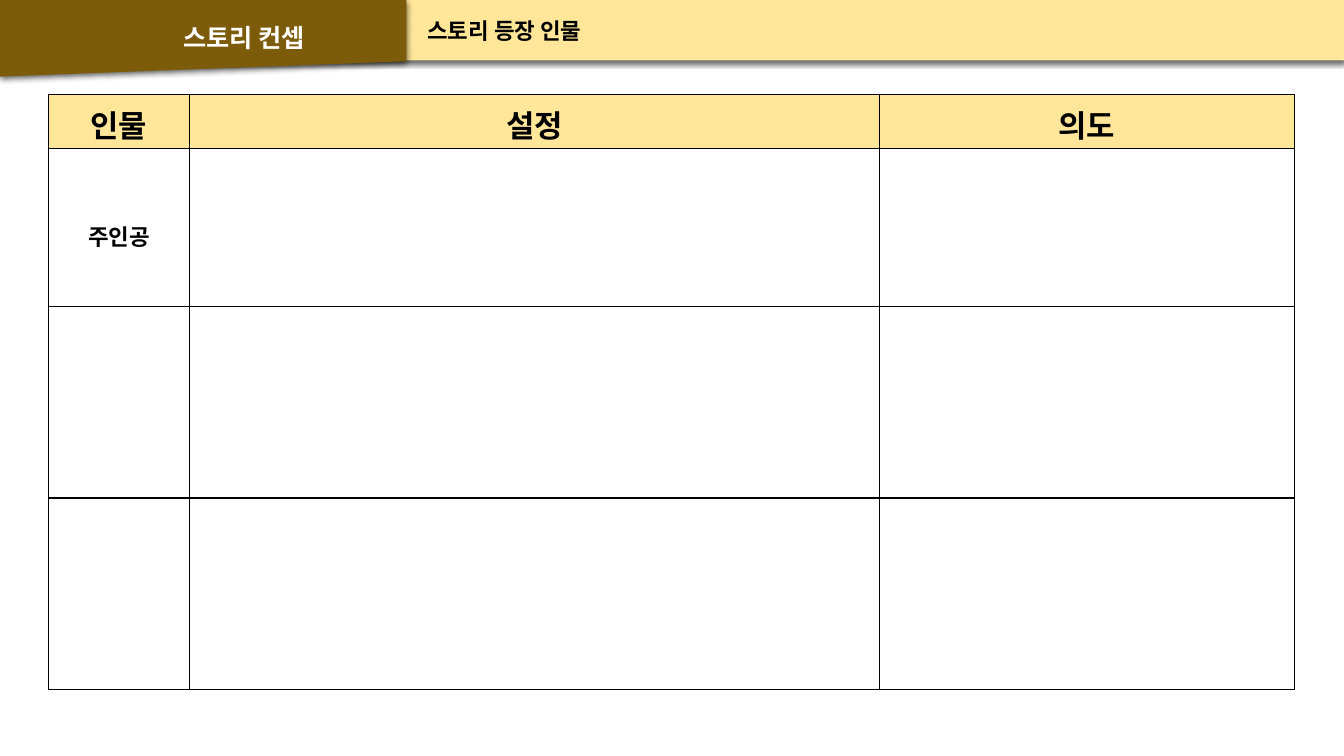
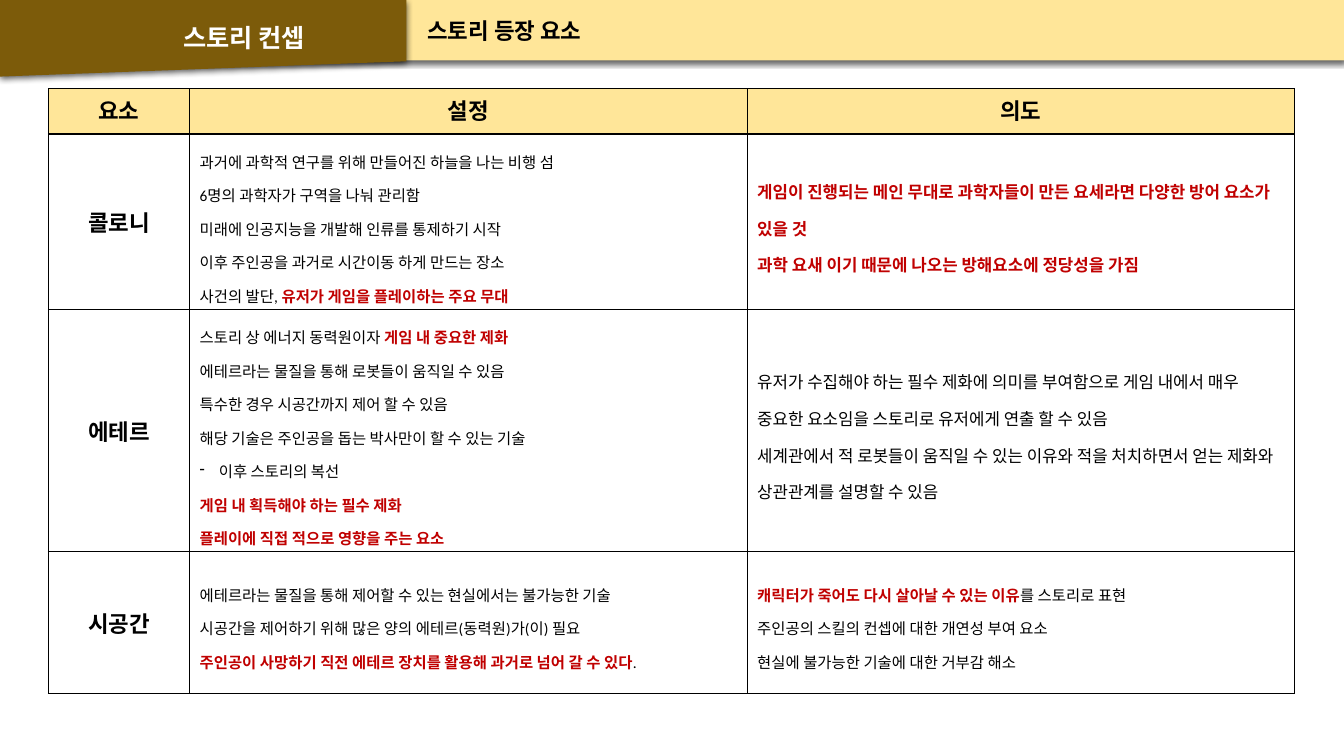
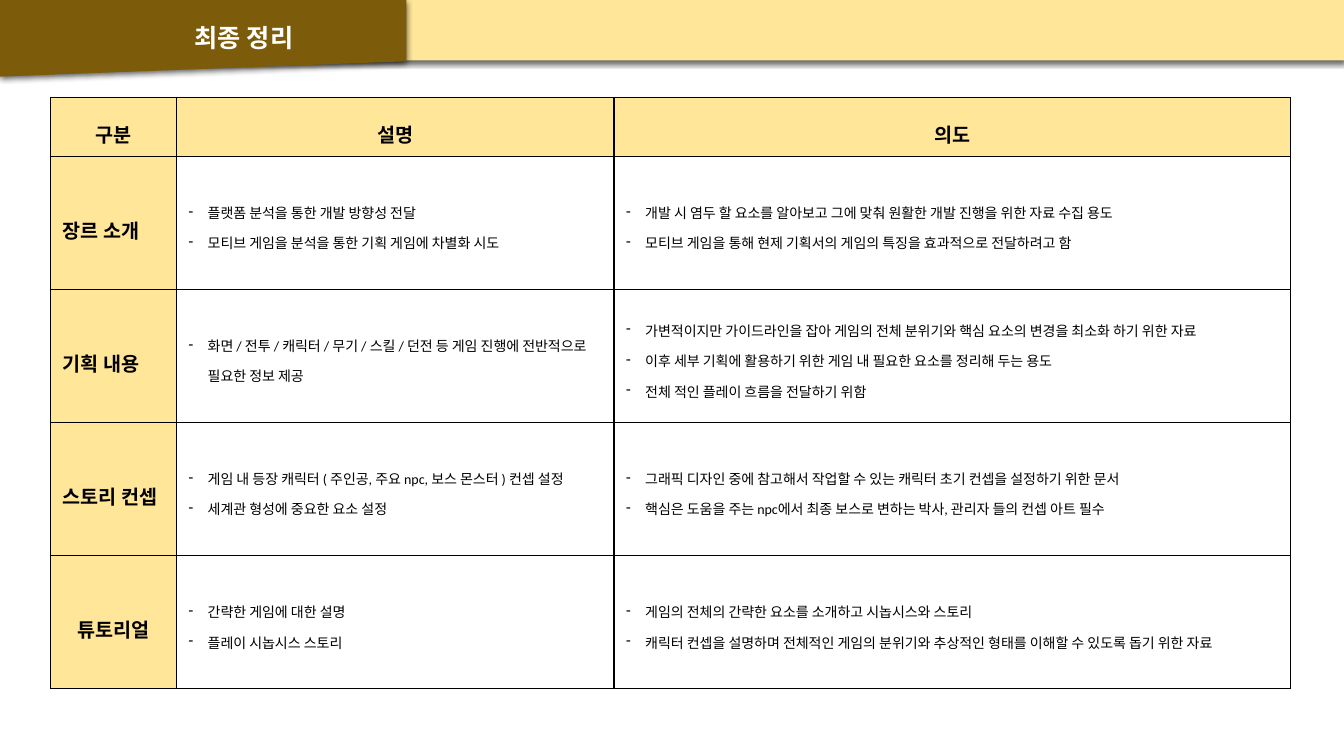
from dataclasses import dataclass
from functools import partial
from typing import Optional

from lxml import etree
from pptx import Presentation
from pptx.dml.color import RGBColor
from pptx.enum import shapes, text
from pptx.oxml import ns
from pptx.util import Inches, Pt

CREAM = RGBColor(0xFF, 0xE6, 0x99)
BROWN = RGBColor(0x7C, 0x5B, 0x0A)
RED = RGBColor(0xC0, 0x00, 0x00)
BLACK = RGBColor(0x00, 0x00, 0x00)
WHITE = RGBColor(0xFF, 0xFF, 0xFF)
FONT = "Calibri"
LEFT, CENTER = text.PP_ALIGN.LEFT, text.PP_ALIGN.CENTER
TOP, MIDDLE = text.MSO_ANCHOR.TOP, text.MSO_ANCHOR.MIDDLE
HANGING = Inches(0.19)
SLIDE_WIDTH, SLIDE_HEIGHT = 13.33, 7.5


@dataclass
class Cell:
    """Lines may start with "- " for a bullet and mark **key words**."""
    lines: tuple = ()
    size: float = 16
    bold: bool = False
    align: int = LEFT
    spacing: Optional[float] = None
    anchor: int = MIDDLE
    fill: Optional[RGBColor] = None


@dataclass
class Grid:
    left: float
    top: float
    columns: tuple
    rows: tuple
    inset: tuple
    cells: list


def sub(parent, tag: str, **attributes):
    return etree.SubElement(parent, ns.qn(tag), attributes)


def write(frame, *lines: str, size: float, bold: bool = False,
          color: RGBColor = BLACK, align: int = LEFT,
          spacing: Optional[float] = None) -> None:
    """Fill a text frame; **key words** come out red and bold."""
    for number, line in enumerate(lines):
        paragraph = frame.add_paragraph() if number else frame.paragraphs[0]
        if line.startswith("- "):
            line = line[2:]
            properties = paragraph._p.get_or_add_pPr()
            properties.set("marL", str(HANGING))
            properties.set("indent", str(-HANGING))
            sub(properties, "a:buChar", char="-")
        paragraph.alignment = align
        if spacing:
            paragraph.line_spacing = spacing
        for position, piece in enumerate(line.split("**")):
            if not piece:
                continue
            is_key = position % 2 == 1
            run = paragraph.add_run()
            run.text = piece
            run.font.name = FONT
            run.font.size = Pt(size)
            run.font.bold = bold or is_key
            run.font.color.rgb = RED if is_key else color


def add_band(slide, preset: int, width: float, height: float,
             color: RGBColor, rotation: float = 0):
    band = slide.shapes.add_shape(preset, 0, 0, Inches(width), Inches(height))
    band.rotation = rotation
    band.fill.solid()
    band.fill.fore_color.rgb = color
    band.line.fill.background()
    band.shadow.inherit = False
    effects = band.element.spPr.find(ns.qn("a:effectLst"))
    shadow = sub(effects, "a:outerShdw", blurRad=str(Pt(4.5)), dist=str(Pt(1.5)),
                 dir="5400000", algn="t", rotWithShape="0")
    sub(sub(shadow, "a:srgbClr", val=str(BLACK)), "a:alpha", val="63000")
    return band


def move_bands_to_layout(slide, layout) -> None:
    """Draw the header bands once, behind the titles of every slide."""
    for placeholder in list(layout.placeholders):
        if placeholder.placeholder_format.type != shapes.PP_PLACEHOLDER.TITLE:
            placeholder.element.getparent().remove(placeholder.element)
    strip = add_band(slide, shapes.MSO_SHAPE.RECTANGLE, SLIDE_WIDTH, 0.6, CREAM)
    tab = add_band(slide, shapes.MSO_SHAPE.FLOWCHART_MANUAL_INPUT, 4.03, 0.76,
                   BROWN, rotation=180)
    for position, band in enumerate((strip, tab), start=2):
        layout.shapes.element.insert(position, band.element)


def add_title(slide, title: str) -> None:
    heading = slide.shapes.title
    heading.left, heading.top = Inches(0.92), Inches(0.04)
    heading.width, heading.height = Inches(3), Inches(0.52)
    frame = heading.text_frame
    frame.auto_size = text.MSO_AUTO_SIZE.NONE
    frame.vertical_anchor = MIDDLE
    write(frame, title, size=18, bold=True, color=WHITE, align=CENTER, spacing=1.5)


def add_subtitle(slide, subtitle: str) -> None:
    box = slide.shapes.add_textbox(Inches(4.14), Inches(0.12),
                                   Inches(8.28), Inches(0.36))
    box.text_frame.word_wrap = True
    box.text_frame.vertical_anchor = MIDDLE
    write(box.text_frame, subtitle, size=16, bold=True)


def add_borders(cell) -> None:
    properties = cell._tc.get_or_add_tcPr()
    for position, side in enumerate(("a:lnL", "a:lnR", "a:lnT", "a:lnB")):
        border = sub(properties, side, w=str(Pt(1)))
        sub(sub(border, "a:solidFill"), "a:srgbClr", val=str(BLACK))
        properties.insert(position, border)


def add_grid(slide, grid: Grid) -> None:
    table = slide.shapes.add_table(
        len(grid.rows), len(grid.columns), Inches(grid.left), Inches(grid.top),
        Inches(sum(grid.columns)), Inches(sum(grid.rows))).table
    table.first_row = table.horz_banding = False
    for column, width in zip(table.columns, grid.columns):
        column.width = Inches(width)
    for row, height, contents in zip(table.rows, grid.rows, grid.cells):
        row.height = Inches(height)
        for cell, content in zip(row.cells, contents):
            cell.margin_left = cell.margin_right = Inches(grid.inset[0])
            cell.margin_top = cell.margin_bottom = Inches(grid.inset[1])
            cell.vertical_anchor = content.anchor
            if content.fill is None:
                cell.fill.background()
            else:
                cell.fill.solid()
                cell.fill.fore_color.rgb = content.fill
            add_borders(cell)
            write(cell.text_frame, *content.lines, size=content.size,
                  bold=content.bold, align=content.align, spacing=content.spacing)


def header_row(*names: str, **style) -> list:
    return [Cell((name,), bold=True, align=CENTER, fill=CREAM, **style)
            for name in names]


def character_grid() -> Grid:
    blank = Cell(fill=WHITE)
    hero = Cell(("주인공",), bold=True, align=CENTER, spacing=1.5, fill=WHITE)
    return Grid(0.48, 0.94, (1.4, 6.84, 4.12), (0.53, 1.57, 1.9, 1.9), (0.13, 0.07), [
        header_row("인물", "설정", "의도", size=22),
        [hero, blank, blank],
        [blank] * 3,
        [blank] * 3,
    ])


def element_grid() -> Grid:
    label = partial(Cell, bold=True, align=CENTER)
    setting = partial(Cell, size=11, spacing=1.5)
    purpose = partial(Cell, size=12, spacing=1.5)
    return Grid(0.48, 0.88, (1.4, 5.53, 5.43), (0.45, 1.74, 2.4, 1.41), (0.1, 0.05), [
        header_row("요소", "설정", "의도", anchor=TOP),
        [label(("콜로니",)),
         setting(("과거에 과학적 연구를 위해 만들어진 하늘을 나는 비행 섬",
                  "6명의 과학자가 구역을 나눠 관리함",
                  "미래에 인공지능을 개발해 인류를 통제하기 시작",
                  "이후 주인공을 과거로 시간이동 하게 만드는 장소",
                  "사건의 발단, **유저가 게임을 플레이하는 주요 무대**")),
         purpose(("**게임이 진행되는 메인 무대로 과학자들이 만든 요세라면 "
                  "다양한 방어 요소가 있을 것**",
                  "**과학 요새 이기 때문에 나오는 방해요소에 정당성을 가짐**"))],
        [label(("에테르",)),
         setting(("스토리 상 에너지 동력원이자 **게임 내 중요한 제화**",
                  "에테르라는 물질을 통해 로봇들이 움직일 수 있음",
                  "특수한 경우 시공간까지 제어 할 수 있음",
                  "해당 기술은 주인공을 돕는 박사만이 할 수 있는 기술",
                  "- 이후 스토리의 복선",
                  "**게임 내 획득해야 하는 필수 제화**",
                  "**플레이에 직접 적으로 영향을 주는 요소**")),
         purpose(("유저가 수집해야 하는 필수 제화에 의미를 부여함으로 게임 내에서 매우 "
                  "중요한 요소임을 스토리로 유저에게 연출 할 수 있음",
                  "세계관에서 적 로봇들이 움직일 수 있는 이유와 적을 처치하면서 얻는 "
                  "제화와 상관관계를 설명할 수 있음"))],
        [label(("시공간",)),
         setting(("에테르라는 물질을 통해 제어할 수 있는 현실에서는 불가능한 기술",
                  "시공간을 제어하기 위해 많은 양의 에테르(동력원)가(이) 필요",
                  "**주인공이 사망하기 직전 에테르 장치를 활용해 과거로 넘어 갈 수 있다**.")),
         setting(("**캐릭터가 죽어도 다시 살아날 수 있는 이유**를 스토리로 표현",
                  "주인공의 스킬의 컨셉에 대한 개연성 부여 요소",
                  "현실에 불가능한 기술에 대한 거부감 해소"))],
    ])


def summary_grid() -> Grid:
    label = partial(Cell, size=14, bold=True, spacing=1.5, fill=CREAM)
    points = partial(Cell, size=10, spacing=1.5, fill=WHITE)
    return Grid(0.5, 0.97, (1.25, 4.34, 6.71), (0.58,) + (1.32,) * 4, (0.12, 0.06), [
        header_row("구분", "설명", "의도", size=14, spacing=1.5),
        [label(("장르 소개",)),
         points(("- 플랫폼 분석을 통한 개발 방향성 전달",
                 "- 모티브 게임을 분석을 통한 기획 게임에 차별화 시도")),
         points(("- 개발 시 염두 할 요소를 알아보고 그에 맞춰 원활한 개발 진행을 위한 "
                 "자료 수집 용도",
                 "- 모티브 게임을 통해 현제 기획서의 게임의 특징을 효과적으로 "
                 "전달하려고 함"))],
        [label(("기획 내용",)),
         points(("- 화면 / 전투 / 캐릭터 / 무기 / 스킬 / 던전 등 게임 진행에 "
                 "전반적으로 필요한 정보 제공",)),
         points(("- 가변적이지만 가이드라인을 잡아 게임의 전체 분위기와 핵심 요소의 "
                 "변경을 최소화 하기 위한 자료",
                 "- 이후 세부 기획에 활용하기 위한 게임 내 필요한 요소를 정리해 두는 용도",
                 "- 전체 적인 플레이 흐름을 전달하기 위함"))],
        [label(("스토리 컨셉",)),
         points(("- 게임 내 등장 캐릭터 ( 주인공, 주요 npc, 보스 몬스터 ) 컨셉 설정",
                 "- 세계관 형성에 중요한 요소 설정")),
         points(("- 그래픽 디자인 중에 참고해서 작업할 수 있는 캐릭터 초기 컨셉을 "
                 "설정하기 위한 문서",
                 "- 핵심은 도움을 주는 npc에서 최종 보스로 변하는 박사, 관리자 들의 "
                 "컨셉 아트 필수"))],
        [label(("튜토리얼",), align=CENTER),
         points(("- 간략한 게임에 대한 설명", "- 플레이 시놉시스 스토리")),
         points(("- 게임의 전체의 간략한 요소를 소개하고 시놉시스와 스토리",
                 "- 캐릭터 컨셉을 설명하며 전체적인 게임의 분위기와 추상적인 형태를 "
                 "이해할 수 있도록 돕기 위한 자료"))],
    ])


def main() -> None:
    deck = Presentation()
    deck.slide_width, deck.slide_height = Inches(SLIDE_WIDTH), Inches(SLIDE_HEIGHT)
    layout = deck.slide_layouts.get_by_name("Title Only")
    pages = (
        ("스토리 컨셉", "스토리 등장 인물", character_grid()),
        ("스토리 컨셉", "스토리 등장 요소", element_grid()),
        ("최종 정리", None, summary_grid()),
    )
    for number, (title, subtitle, grid) in enumerate(pages):
        slide = deck.slides.add_slide(layout)
        if number == 0:
            move_bands_to_layout(slide, layout)
        add_title(slide, title)
        if subtitle:
            add_subtitle(slide, subtitle)
        add_grid(slide, grid)
    deck.save("out.pptx")


if __name__ == "__main__":
    main()
